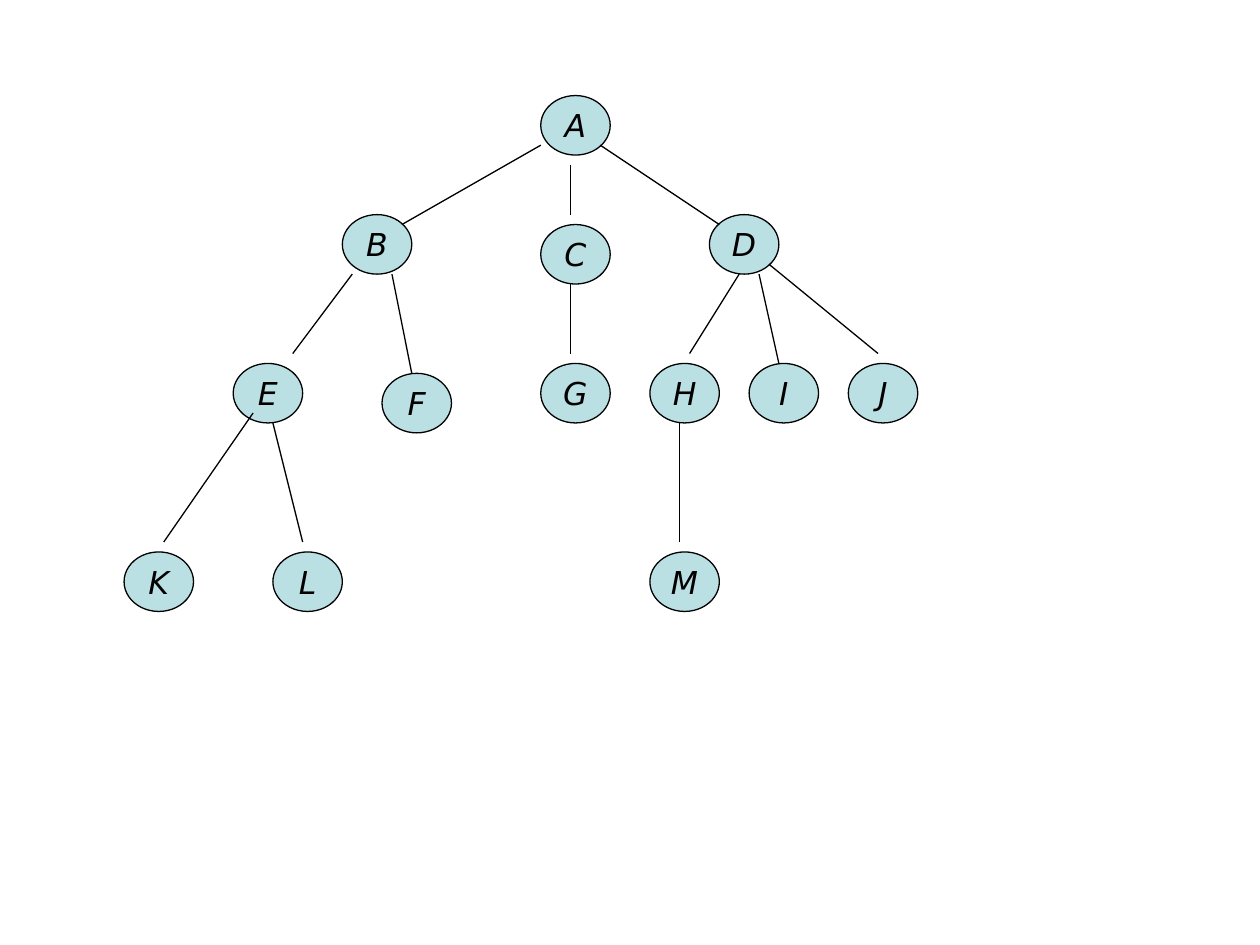
from pptx import Presentation
from pptx.dml.color import RGBColor
from pptx.enum.shapes import MSO_CONNECTOR, MSO_SHAPE
from pptx.enum.text import MSO_ANCHOR, PP_ALIGN
from pptx.oxml.ns import qn
from pptx.util import Inches, Pt
from lxml import etree

OVAL = MSO_SHAPE.OVAL
STRAIGHT = MSO_CONNECTOR.STRAIGHT
MIDDLE = MSO_ANCHOR.MIDDLE
CENTER = PP_ALIGN.CENTER

# Drawing grid: 127 steps fill the ten-inch width, from a small offset
STEP = 10 / 127
ORIGIN_X, ORIGIN_Y = 0.04, 0.05
NODE_WIDTH, NODE_HEIGHT = 7, 6

# Nodes: column and row of the top left corner
NODES = {
    "A": (54, 9),
    "B": (34, 21), "C": (54, 22), "D": (71, 21),
    "E": (23, 36), "F": (38, 37), "G": (54, 36),
    "K": (12, 55), "L": (27, 55),
    "H": (65, 36), "I": (75, 36), "J": (85, 36),
    "M": (65, 55),
}

# Branches, parent to child: start and end on the grid
BRANCHES = [
    ((54, 14), (40, 22)),  # A to B
    ((57, 16), (57, 21)),  # A to C
    ((60, 14), (72, 22)),  # A to D
    ((35, 27), (29, 35)),  # B to E
    ((39, 27), (41, 37)),  # B to F
    ((57, 28), (57, 35)),  # C to G
    ((74, 27), (69, 35)),  # D to H
    ((76, 27), (78, 36)),  # D to I
    ((77, 26), (88, 35)),  # D to J
    ((25, 41), (16, 54)),  # E to K
    ((27, 42), (30, 54)),  # E to L
    ((68, 42), (68, 54)),  # H to M
]

BLACK = RGBColor.from_string("000000")
THEME = {
    "node_fill": RGBColor.from_string("BBE0E3"),
    "line": BLACK,
    "line_width": Pt(0.75),
    "text": BLACK,
    "font": {"name": "DejaVu Sans", "size": Pt(18), "italic": True},
}
FRAME_FORMAT = {"word_wrap": False, "vertical_anchor": MIDDLE}


def grid_point(column, row):
    return Inches(ORIGIN_X + column * STEP), Inches(ORIGIN_Y + row * STEP)


def set_attributes(target, values):
    for name, value in values.items():
        setattr(target, name, value)


def style_line(line):
    line.color.rgb = THEME["line"]
    line.width = THEME["line_width"]


def add_node(slide, letter, corner):
    shape = slide.shapes.add_shape(
        OVAL, *grid_point(*corner),
        Inches(NODE_WIDTH * STEP), Inches(NODE_HEIGHT * STEP))
    shape.shadow.inherit = False
    shape.fill.solid()
    shape.fill.fore_color.rgb = THEME["node_fill"]
    style_line(shape.line)
    set_attributes(shape.text_frame, FRAME_FORMAT)
    paragraph = shape.text_frame.paragraphs[0]
    paragraph.text = letter
    paragraph.alignment = CENTER
    set_attributes(paragraph.font, THEME["font"])
    paragraph.font.color.rgb = THEME["text"]


def add_branch(slide, start, end):
    connector = slide.shapes.add_connector(
        STRAIGHT, *grid_point(*start), *grid_point(*end))
    style_line(connector.line)
    etree.SubElement(connector._element.spPr, qn("a:effectLst"))


def main():
    presentation = Presentation()
    presentation.slide_width = Inches(10)
    presentation.slide_height = Inches(7.5)
    slide = presentation.slides.add_slide(presentation.slide_layouts[6])

    # Nodes
    for letter, corner in NODES.items():
        add_node(slide, letter, corner)

    # Branches, drawn over the nodes
    for start, end in BRANCHES:
        add_branch(slide, start, end)

    presentation.save("out.pptx")


if __name__ == "__main__":
    main()
